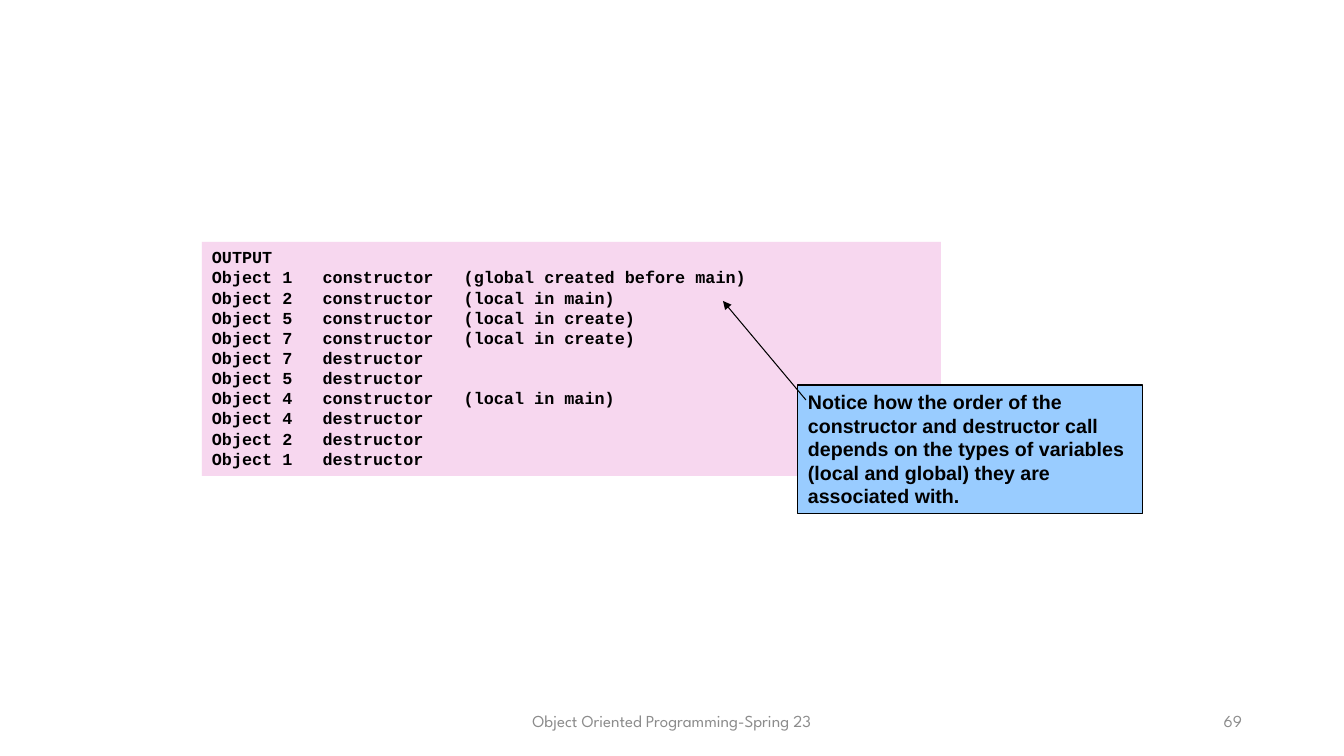
from lxml.etree import SubElement
from pptx import Presentation
from pptx.dml.color import RGBColor
from pptx.enum.shapes import MSO_CONNECTOR, MSO_SHAPE
from pptx.enum.text import MSO_ANCHOR, PP_ALIGN
from pptx.oxml.ns import qn
from pptx.util import Pt

BLACK = RGBColor(0x00, 0x00, 0x00)
GREY = RGBColor(0x8C, 0x8C, 0x8C)
PINK = RGBColor(0xF7, 0xD7, 0xEF)
BLUE = RGBColor(0x99, 0xCC, 0xFF)

EMU_PER_PX = 914400 / 100.8

OUTPUT = [
    "OUTPUT",
    "Object 1   constructor   (global created before main)",
    "Object 2   constructor   (local in main)",
    "Object 5   constructor   (local in create)",
    "Object 7   constructor   (local in create)",
    "Object 7   destructor",
    "Object 5   destructor",
    "Object 4   constructor   (local in main)",
    "Object 4   destructor",
    "Object 2   destructor",
    "Object 1   destructor",
]
NOTICE = ("Notice how the order of the constructor and destructor call "
          "depends on the types of variables (local and global) they are "
          "associated with.")


def px(*values):
    return [round(v * EMU_PER_PX) for v in values]


class SlideBuilder:
    footer_font = "League Spartan"
    code_font = "Courier New"
    note_font = "Arial"
    line_width = Pt(0.75)

    def __init__(self, prs):
        self.slide = prs.slides.add_slide(prs.slide_layouts[6])

    def add_text(self, sp, lines, font, size, color, bold, align, anchor):
        tf = sp.text_frame
        tf.word_wrap = True
        tf.vertical_anchor = anchor
        for i, line in enumerate(lines):
            p = tf.paragraphs[0] if i == 0 else tf.add_paragraph()
            p.alignment = align
            r = p.add_run()
            r.text = line
            r.font.name = font
            r.font.size = Pt(size)
            r.font.bold = bold
            r.font.color.rgb = color

    def footer(self, box, text, align):
        sp = self.slide.shapes.add_textbox(*px(*box))
        self.add_text(sp, [text], self.footer_font, 12, GREY, False, align,
                      MSO_ANCHOR.MIDDLE)

    def panel(self, box, lines, font, size, fill, line=None):
        sp = self.slide.shapes.add_shape(MSO_SHAPE.RECTANGLE, *px(*box))
        sp.shadow.inherit = False
        sp.fill.solid()
        sp.fill.fore_color.rgb = fill
        if line is None:
            sp.line.fill.background()
        else:
            sp.line.color.rgb = line
            sp.line.width = self.line_width
        self.add_text(sp, lines, font, size, BLACK, True, PP_ALIGN.LEFT,
                      MSO_ANCHOR.TOP)

    def arrow(self, start, end):
        cn = self.slide.shapes.add_connector(
            MSO_CONNECTOR.STRAIGHT, *px(*start, *end))
        cn.line.color.rgb = BLACK
        cn.line.width = self.line_width
        sp_pr = cn._element.spPr
        SubElement(sp_pr.find(qn("a:ln")), qn("a:tailEnd"), type="triangle")
        SubElement(sp_pr, qn("a:effectLst"))


def main():
    prs = Presentation()
    prs.slide_width, prs.slide_height = px(1344, 756)
    s = SlideBuilder(prs)

    # Footer and slide number
    s.footer((445, 701, 454, 40), "Object Oriented Programming-Spring 23",
             PP_ALIGN.CENTER)
    s.footer((950, 701, 302, 40), "69", PP_ALIGN.RIGHT)

    # Program output
    s.panel((202, 242, 739, 234), OUTPUT, s.code_font, 12, PINK)

    # Callout with its arrow
    s.panel((798, 385, 345, 129), [NOTICE], s.note_font, 14, BLUE, BLACK)
    s.arrow((806, 400), (723, 301))

    prs.save("out.pptx")


if __name__ == "__main__":
    main()
